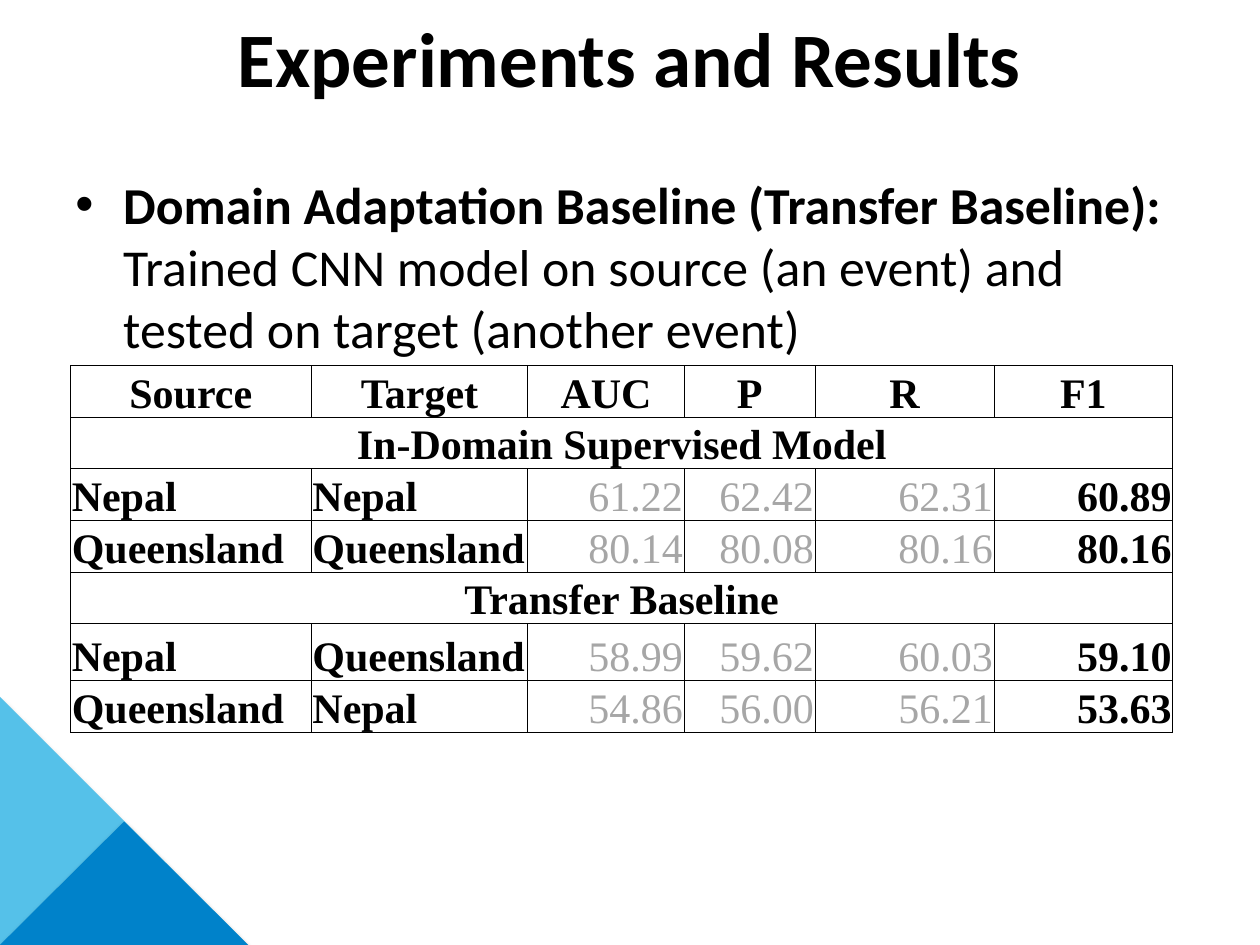
from lxml import etree
from pptx import Presentation
from pptx.dml.color import RGBColor
from pptx.enum.shapes import MSO_SHAPE
from pptx.enum.text import MSO_ANCHOR, PP_ALIGN
from pptx.oxml import parse_xml
from pptx.oxml.ns import nsdecls, qn
from pptx.util import Inches, Pt

BLACK = RGBColor(0x00, 0x00, 0x00)
GREY = RGBColor(0xA6, 0xA6, 0xA6)
SKY = RGBColor(0x55, 0xC1, 0xE9)
BLUE = RGBColor(0x00, 0x82, 0xCA)
LEFT, MID, RIGHT = PP_ALIGN.LEFT, PP_ALIGN.CENTER, PP_ALIGN.RIGHT
TOP, CENTRE, BASE = MSO_ANCHOR.TOP, MSO_ANCHOR.MIDDLE, MSO_ANCHOR.BOTTOM
WEDGE, PEAK = MSO_SHAPE.RIGHT_TRIANGLE, MSO_SHAPE.ISOSCELES_TRIANGLE

COLS, ROWS = 100, 75
TITLE = {"name": "Calibri", "size": Pt(44), "bold": True}
LEAD = {"name": "Calibri", "size": Pt(29.6), "bold": True}
BODY = {**LEAD, "bold": False}
HEAD = {"name": "Times New Roman", "size": Pt(24), "bold": True}
SCORE = {**HEAD, "bold": False}
INSET = {"margin_left": Inches(0.01), "margin_right": Inches(0.01),
         "margin_top": Inches(0.01), "margin_bottom": 0,
         "vertical_anchor": BASE}

WIDTHS = [19.1, 17.2, 12.4, 10.4, 14.2, 14.2]
HEIGHTS = [4, 4, 4, 4.1, 4, 4.5, 4]
DATA = [
    ["Source", "Target", "AUC", "P", "R", "F1"],
    ["In-Domain Supervised Model"],
    ["Nepal", "Nepal", "61.22", "62.42", "62.31", "60.89"],
    ["Queensland", "Queensland", "80.14", "80.08", "80.16", "80.16"],
    ["Transfer Baseline"],
    ["Nepal", "Queensland", "58.99", "59.62", "60.03", "59.10"],
    ["Queensland", "Nepal", "54.86", "56.00", "56.21", "53.63"],
]


def apply(item, vals):
    """Set each format value on an item."""
    for key, val in vals.items():
        setattr(item, key, val)


class Deck:
    """Holds the grid, the style and the current slide."""

    def __init__(self, wide, high):
        self.prs = Presentation()
        self.prs.slide_width, self.prs.slide_height = Inches(wide), Inches(high)
        self.col, self.row = Inches(wide) / COLS, Inches(high) / ROWS
        self.slide = self.prs.slides.add_slide(self.prs.slide_layouts[6])

    def box(self, x, y, w, h):
        """Turn columns and rows into lengths."""
        return (round(x * self.col), round(y * self.row),
                round(w * self.col), round(h * self.row))

    def words(self, para, text, font, ink=BLACK):
        """Add one styled run."""
        run = para.add_run()
        run.text = text
        apply(run.font, font)
        run.font.color.rgb = ink

    def shape(self, kind, place, ink):
        """Add a filled shape with a soft shadow."""
        item = self.slide.shapes.add_shape(kind, *self.box(*place))
        item.fill.solid()
        item.fill.fore_color.rgb = ink
        item.line.fill.background()
        item.shadow.inherit = False
        glow = item._element.spPr.find(qn("a:effectLst"))
        glow.append(parse_xml(
            f'<a:outerShdw {nsdecls("a")} blurRad="{Pt(3.1)}" dist="{Pt(1.8)}" '
            'dir="5400000" rotWithShape="0"><a:srgbClr val="000000">'
            '<a:alpha val="35000"/></a:srgbClr></a:outerShdw>'))

    def text(self, place, runs, align, anchor, indent=0):
        """Add a text box, with a bullet when indented."""
        frame = self.slide.shapes.add_textbox(*self.box(*place)).text_frame
        apply(frame, {"word_wrap": True, "vertical_anchor": anchor})
        para = frame.paragraphs[0]
        para.alignment = align
        if indent:
            props = para._p.get_or_add_pPr()
            gap = round(indent * self.col)
            props.set("marL", str(gap))
            props.set("indent", str(-gap))
            etree.SubElement(props, qn("a:buFont")).set("typeface", "Arial")
            etree.SubElement(props, qn("a:buChar")).set("char", "•")
        for part, font in runs:
            self.words(para, part, font)

    def edge(self, cell):
        """Draw thin lines on all sides of a cell."""
        props = cell._tc.get_or_add_tcPr()
        for side in "LRTB":
            props.append(parse_xml(
                f'<a:ln{side} {nsdecls("a")} w="{Pt(0.5)}"><a:solidFill>'
                f'<a:srgbClr val="{BLACK}"/></a:solidFill></a:ln{side}>'))

    def table(self, x, y, data, widths, heights):
        """Add a ruled table; a row of one value spans all columns."""
        place = self.box(x, y, sum(widths), sum(heights))
        grid = self.slide.shapes.add_table(len(data), len(widths), *place).table
        apply(grid, {"first_row": False, "horz_banding": False})
        for col, wide in zip(grid.columns, widths):
            col.width = round(wide * self.col)
        for row, high in zip(grid.rows, heights):
            row.height = round(high * self.row)
        for cell in grid.iter_cells():
            self.edge(cell)
            cell.fill.background()
            apply(cell, INSET)
        last = len(widths) - 1
        for r, vals in enumerate(data):
            if len(vals) == 1:
                grid.cell(r, 0).merge(grid.cell(r, last))
            for c, val in enumerate(vals):
                para = grid.cell(r, c).text_frame.paragraphs[0]
                head = r == 0 or len(vals) == 1
                para.alignment = MID if head else LEFT if c < 2 else RIGHT
                plain = not head and 2 <= c < last
                self.words(para, val, SCORE if plain else HEAD,
                           GREY if plain else BLACK)


def main():
    """Build the results slide."""
    deck = Deck(10, 7.5)
    deck.shape(WEDGE, (0, 55.3, 19.7, 19.7), SKY)
    deck.shape(PEAK, (0, 65.2, 19.7, 9.8), BLUE)
    deck.text((5, 0.1, 90, 8.8), [("Experiments and Results", TITLE)], MID, CENTRE)
    deck.text((5, 13.2, 90, 15.1), [
        ("Domain Adaptation Baseline (Transfer Baseline):", LEAD),
        (" Trained CNN model on source (an event) and tested on target "
         "(another event)", BODY),
    ], LEFT, TOP, 3.8)
    deck.table(5.6, 29, DATA, WIDTHS, HEIGHTS)
    deck.prs.save("out.pptx")


if __name__ == "__main__":
    main()
